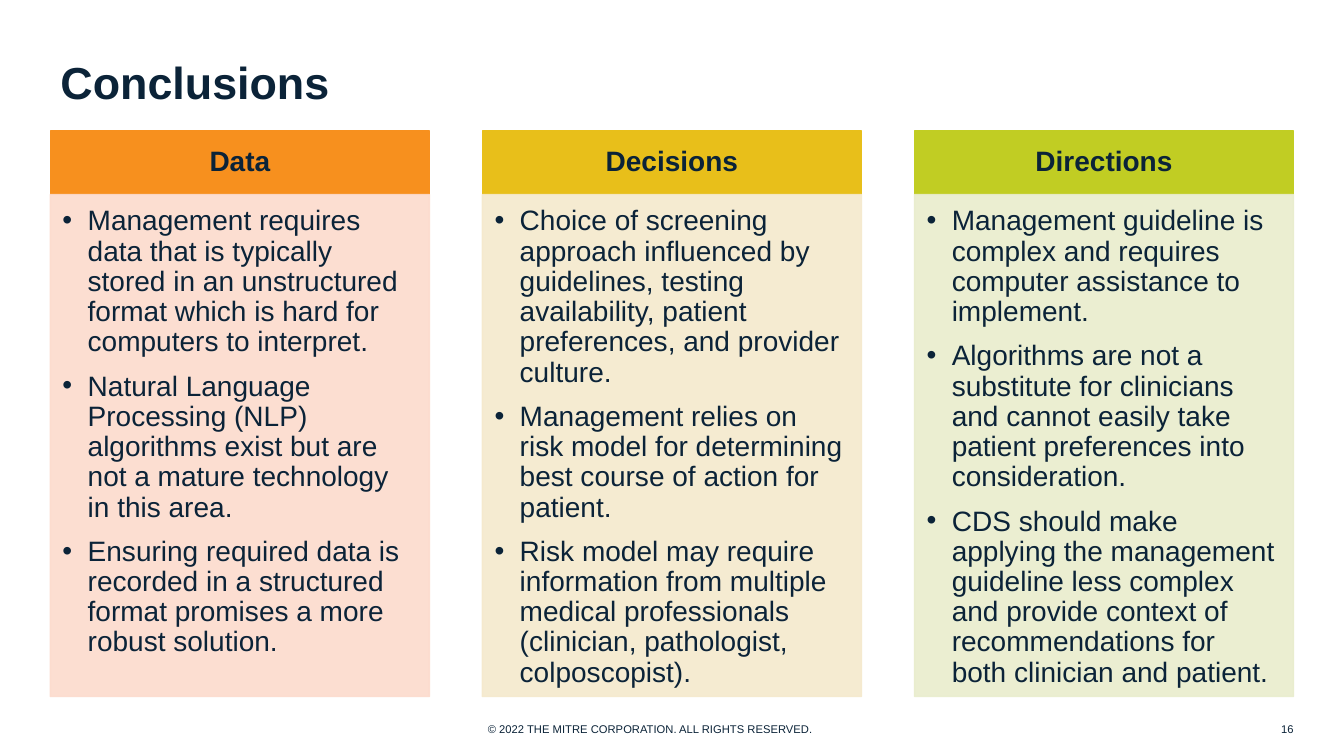
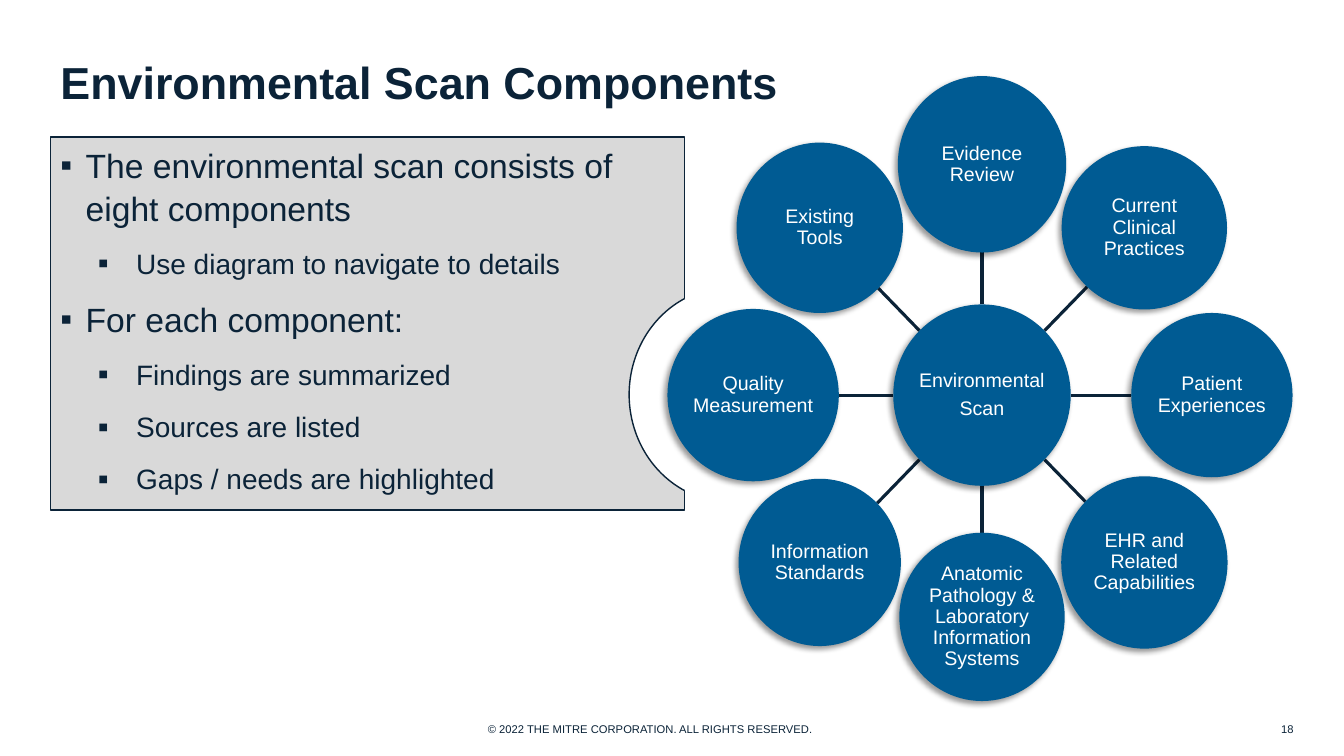
"""Builds the conclusions and environmental scan slides."""
from dataclasses import dataclass
from math import atan2, degrees, hypot

from lxml.etree import SubElement
from pptx import Presentation
from pptx.dml.color import RGBColor
from pptx.enum.shapes import MSO_CONNECTOR, MSO_SHAPE
from pptx.enum.text import MSO_ANCHOR as ANCHOR, MSO_AUTO_SIZE as FIT, PP_ALIGN as ALIGN
from pptx.oxml.ns import qn
from pptx.util import Emu, Pt


@dataclass(frozen=True)
class Theme:
    font: str = "Arial"
    ink: str = "0B2338"
    white: str = "FFFFFF"
    panel: str = "D9D9D9"
    node: str = "005B93"
    title: int = 32
    lead: int = 24
    text: int = 20
    label: int = 14
    small: int = 8


T = Theme()
PX = 9144
COPYRIGHT = "© 2022 THE MITRE CORPORATION. ALL RIGHTS RESERVED."
LEFT, RIGHT = 50, 1283

COLUMNS = [
    ("Data", "F7901E", "FCDBCD", [
        "Management requires data that is typically stored in an unstructured format "
        "which is hard for computers to interpret.",
        "Natural Language Processing (NLP) algorithms exist but are not a mature "
        "technology in this area.",
        "Ensuring required data is recorded in a structured format promises a more "
        "robust solution.",
    ]),
    ("Decisions", "E8BF1A", "F5E9CC", [
        "Choice of screening approach influenced by guidelines, testing availability, "
        "patient preferences, and provider culture.",
        "Management relies on risk model for determining best course of action for patient.",
        "Risk model may require information from multiple medical professionals "
        "(clinician, pathologist, colposcopist).",
    ]),
    ("Directions", "C1CD23", "E9EDCD", [
        "Management guideline is complex and requires computer assistance to implement.",
        "Algorithms are not a substitute for clinicians and cannot easily take patient "
        "preferences into consideration.",
        "CDS should make applying the management guideline less complex and provide "
        "context of recommendations for both clinician and patient.",
    ]),
]

SCAN_POINTS = [
    (0, "The environmental scan consists of eight components"),
    (1, "Use diagram to navigate to details"),
    (0, "For each component:"),
    (1, "Findings are summarized"),
    (1, "Sources are listed"),
    (1, "Gaps / needs are highlighted"),
]

HUB = ("Environmental\nScan", 974, 392, 176, 180)
COMPONENTS = [
    ("Evidence Review", 974, 163, 167, 175),
    ("Current Clinical Practices", 1135, 226, 164, 162),
    ("Patient Experiences", 1202, 392, 160, 163),
    ("EHR and Related Capabilities", 1135, 558, 165, 171),
    ("Anatomic Pathology & Laboratory Information Systems", 974, 612, 164, 167),
    ("Information Standards", 813, 558, 161, 166),
    ("Quality Measurement", 747, 392, 170, 171),
    ("Existing Tools", 813, 226, 165, 169),
]
PANEL = (LEFT, 136, 629, 370)
NOTCH = (624, 285, 199, 213)


def px(*lengths):
    return [Emu(round(n * PX)) for n in lengths]


def rgb(color):
    return RGBColor.from_string(color)


def style(p, size, color=T.ink, bold=False, align=ALIGN.LEFT, spacing=1.0, before=0, after=0):
    p.alignment, p.line_spacing = align, spacing
    p.space_before, p.space_after = Pt(before), Pt(after)
    for r in p.runs:
        r.font.name, r.font.size, r.font.bold = T.font, Pt(size), bold
        r.font.color.rgb = rgb(color)


def bullet(p, char, margin, hang, scale=100):
    pPr = p._p.get_or_add_pPr()
    pPr.set("marL", str(margin * PX))
    pPr.set("indent", str(-hang * PX))
    SubElement(pPr, qn("a:buSzPct"), val=str(scale * 1000))
    SubElement(pPr, qn("a:buFont"), typeface=T.font)
    SubElement(pPr, qn("a:buChar"), char=char)


def frame(shape, margins=(10, 5, 10, 5), anchor=ANCHOR.TOP, wrap=True):
    tf = shape.text_frame
    tf.auto_size, tf.word_wrap, tf.vertical_anchor = FIT.NONE, wrap, anchor
    tf.margin_left, tf.margin_top, tf.margin_right, tf.margin_bottom = px(*margins)
    return tf


def place(shape, box):
    shape.left, shape.top, shape.width, shape.height = px(*box)


def add_shape(s, kind, box, fill=None, line=None, opacity=100):
    sp = s.shapes.add_shape(kind, *px(*box))
    sp.shadow.inherit = False
    for part, color in ((sp.fill, fill), (sp.line.fill, line)):
        if color:
            part.solid()
            part.fore_color.rgb = rgb(color)
        else:
            part.background()
    if line:
        sp.line.width = Pt(1)
    if opacity < 100:
        for clr in sp._element.spPr.iter(qn("a:srgbClr")):
            SubElement(clr, qn("a:alpha"), val=str(opacity * 1000))
    return sp


def add_text(s, text, box, margins=(10, 5, 10, 5), align=ALIGN.LEFT, anchor=ANCHOR.TOP, wrap=True):
    tf = frame(s.shapes.add_textbox(*px(*box)), margins, anchor, wrap)
    tf.text = text
    style(tf.paragraphs[0], T.small, align=align)


def add_slide(prs, layout, title, number):
    s = prs.slides.add_slide(prs.slide_layouts[layout])
    place(s.shapes.title, (LEFT, 43, RIGHT - LEFT, 76))
    tf = frame(s.shapes.title, anchor=ANCHOR.MIDDLE)
    tf.text = title
    style(tf.paragraphs[0], T.title, bold=True)
    add_text(s, COPYRIGHT, (474, 712, 351, 24), wrap=False)
    add_text(s, str(number), (RIGHT - 87, 709, 87, 28), (0, 5, 0, 5), ALIGN.RIGHT, ANCHOR.MIDDLE)
    return s


def add_column(s, x, width, heading, strong, pale, points):
    head = add_shape(s, MSO_SHAPE.RECTANGLE, (x, 130, width, 63), strong, strong)
    tf = frame(head, (16, 9, 16, 9), ANCHOR.MIDDLE)
    tf.text = heading
    style(tf.paragraphs[0], T.text, bold=True, align=ALIGN.CENTER, spacing=0.9)
    card = add_shape(s, MSO_SHAPE.RECTANGLE, (x, 193, width, 498), pale, pale, 90)
    tf = frame(card, (12, 12, 16, 17))
    tf.text = "\n".join(points)
    for p in tf.paragraphs:
        bullet(p, "•", 25, 25)
        style(p, T.text, spacing=0.9, after=10)


def add_panel(s):
    body = s.placeholders[1]
    place(body, PANEL)
    body.fill.solid()
    body.fill.fore_color.rgb = rgb(T.panel)
    body.line.color.rgb, body.line.width = rgb(T.ink), Pt(1)
    tf = frame(body, (10, 6, 10, 5))
    tf.text = "\n".join(text for _, text in SCAN_POINTS)
    for i, (p, (level, _)) in enumerate(zip(tf.paragraphs, SCAN_POINTS)):
        p.level = level
        bullet(p, "▪", *((75, 38, 110) if level else (25, 25)))
        style(p, T.text if level else T.lead, spacing=1.05, before=6 if i else 0, after=6)


def add_notch(s):
    add_shape(s, MSO_SHAPE.OVAL, NOTCH, T.white)
    arc = add_shape(s, MSO_SHAPE.ARC, NOTCH, line=T.ink)
    x, _, w, h = NOTCH
    dx = PANEL[0] + PANEL[2] - (x + w / 2)
    dy = h / 2 * (1 - (2 * dx / w) ** 2) ** 0.5
    start = degrees(atan2(dy, dx))
    for i, angle in enumerate((start, 360 - start)):
        arc.adjustments[i] = round(angle) * 0.6


def edge_point(node, other):
    _, x, y, w, h = node
    dx, dy = other[1] - x, other[2] - y
    t = 1 / hypot(2 * dx / w, 2 * dy / h)
    return x + t * dx, y + t * dy


def add_spoke(s, node):
    ends = px(*edge_point(HUB, node), *edge_point(node, HUB))
    c = s.shapes.add_connector(MSO_CONNECTOR.STRAIGHT, *ends)
    c.line.color.rgb, c.line.width = rgb(T.ink), Pt(2.25)
    SubElement(c._element.spPr, qn("a:effectLst"))


def add_node(s, text, x, y, w, h):
    sp = add_shape(s, MSO_SHAPE.OVAL, (x - w / 2, y - h / 2, w, h), T.node)
    effects = sp._element.spPr.find(qn("a:effectLst"))
    shadow = SubElement(effects, qn("a:outerShdw"), blurRad=str(Pt(4)), dist=str(Pt(3)),
                        dir=str(135 * 60000), rotWithShape="0")
    clr = SubElement(shadow, qn("a:srgbClr"), val="000000")
    SubElement(clr, qn("a:alpha"), val="40000")
    tf = frame(sp, (0, 0, 0, 0), ANCHOR.MIDDLE, wrap="\n" not in text)
    tf.text = text
    for i, p in enumerate(tf.paragraphs):
        style(p, T.label, T.white, align=ALIGN.CENTER, spacing=0.9, before=5 if i else 0)


def main():
    prs = Presentation()
    prs.slide_width, prs.slide_height = px(1333, 750)

    s = add_slide(prs, 5, "Conclusions", 16)
    width = 376
    step = (RIGHT - LEFT - width) / (len(COLUMNS) - 1)
    for i, column in enumerate(COLUMNS):
        add_column(s, LEFT + i * step, width, *column)

    s = add_slide(prs, 1, "Environmental Scan Components", 18)
    add_panel(s)
    add_notch(s)
    for node in COMPONENTS:
        add_spoke(s, node)
    for node in [HUB, *COMPONENTS]:
        add_node(s, *node)

    prs.save("out.pptx")


if __name__ == "__main__":
    main()
